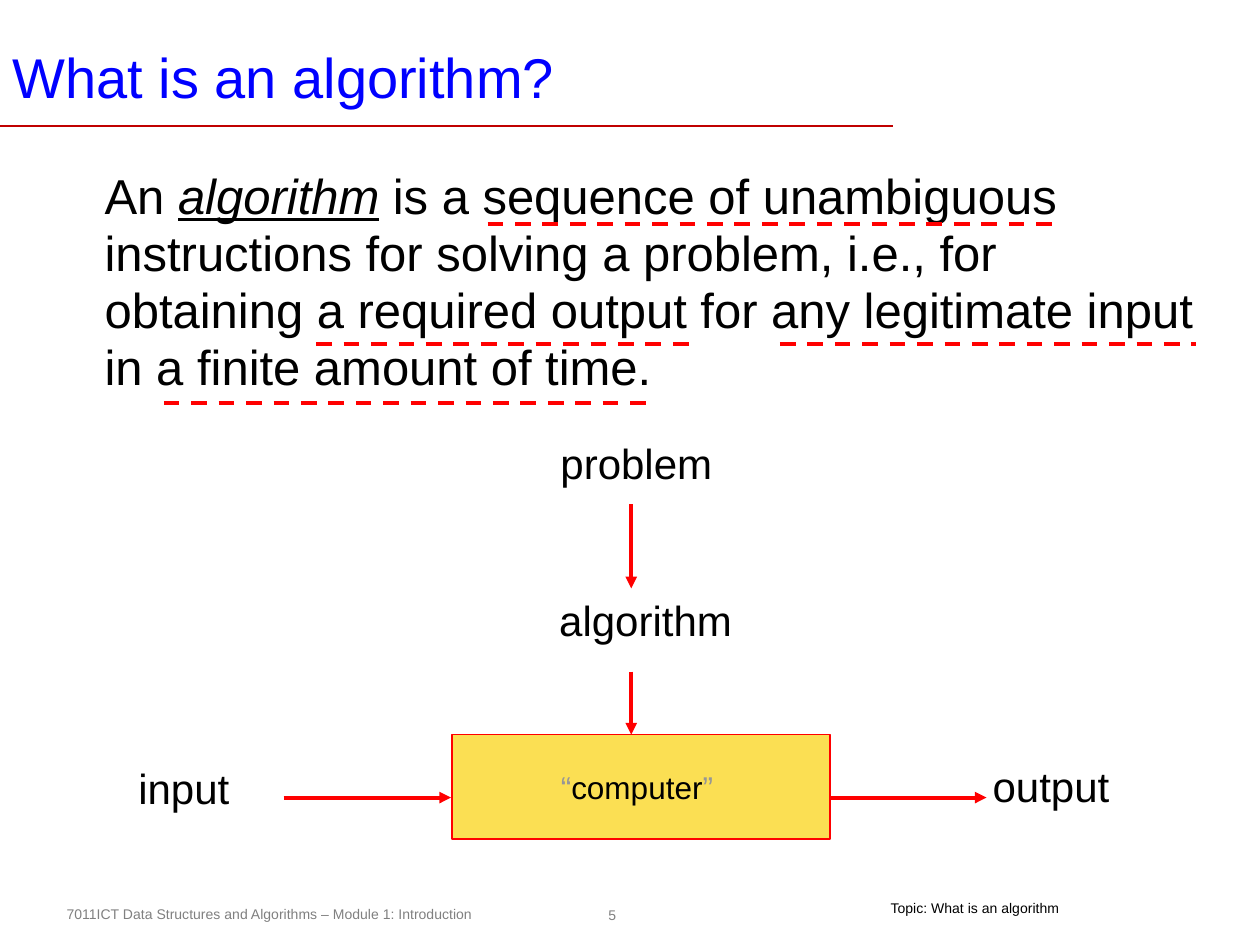
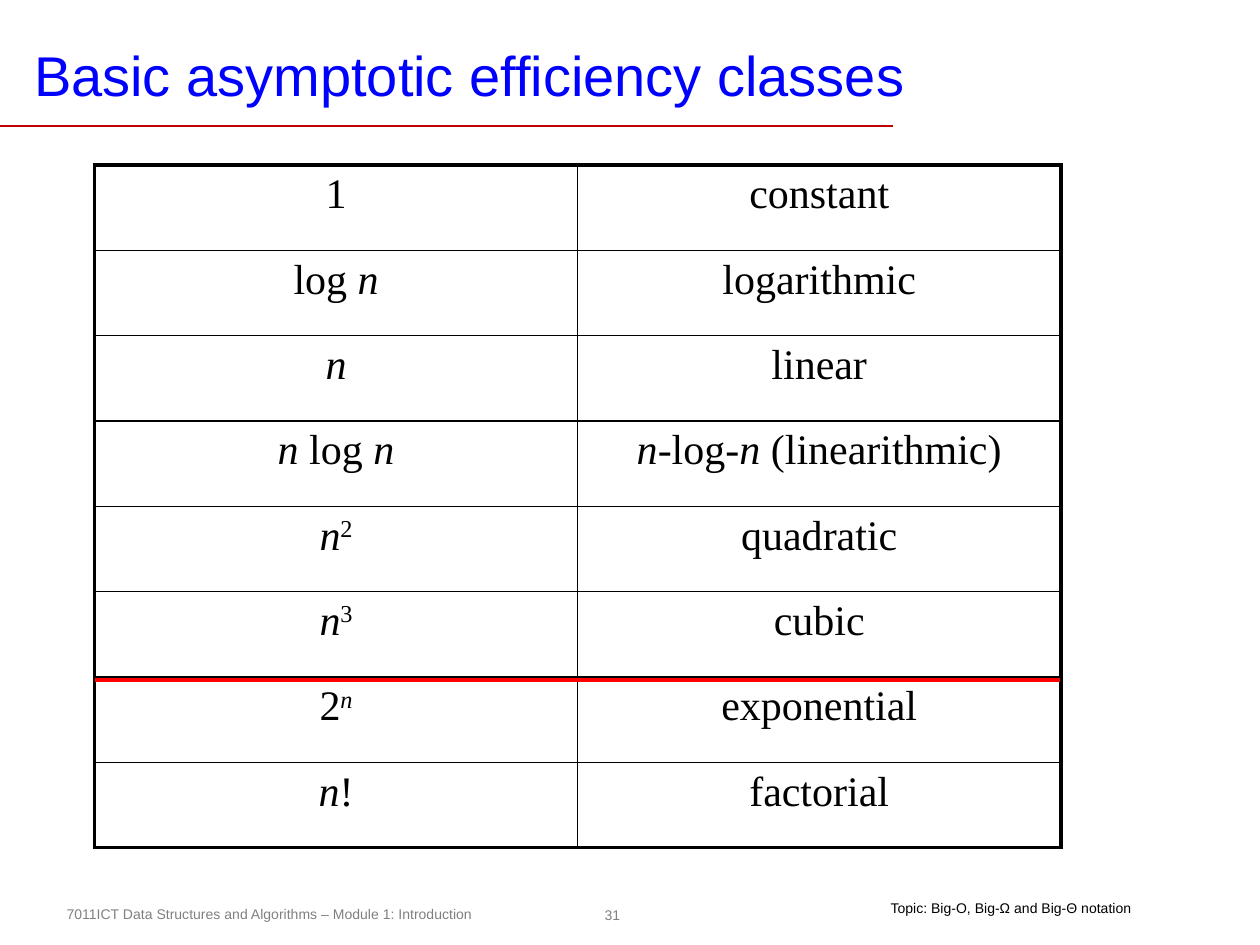
from lxml import etree
from pptx import Presentation
from pptx.dml.color import RGBColor
from pptx.enum.dml import MSO_LINE
from pptx.enum.shapes import MSO_CONNECTOR, MSO_SHAPE
from pptx.enum.text import MSO_ANCHOR, PP_ALIGN
from pptx.oxml.ns import qn
from pptx.util import Inches, Pt

STRAIGHT = MSO_CONNECTOR.STRAIGHT
RECTANGLE = MSO_SHAPE.RECTANGLE
DASH = MSO_LINE.DASH
MIDDLE = MSO_ANCHOR.MIDDLE
TOP = MSO_ANCHOR.TOP
LEFT = PP_ALIGN.LEFT
CENTER = PP_ALIGN.CENTER

BLACK = "000000"
RED = "FF0000"
TITLE_BLUE = "0000FF"
RULE_RED = "C00000"
FOOTER_GRAY = "808080"
QUOTE_GRAY = "969696"
BOX_YELLOW = "FBDF53"
SANS = "Arial"
SERIF = "Times New Roman"
COURSE = "7011ICT Data Structures and Algorithms – Module 1: Introduction"

EFFICIENCY_CLASSES = [
    ([("1", "")], [("constant", "")]),
    ([("log ", ""), ("n", "i")], [("logarithmic", "")]),
    ([("n", "i")], [("linear", "")]),
    ([("n ", "i"), ("log ", ""), ("n", "i")],
     [("n-", "i"), ("log", ""), ("-n ", "i"), ("(linearithmic)", "")]),
    ([("n", "i"), ("2", "^")], [("quadratic", "")]),
    ([("n", "i"), ("3", "^")], [("cubic", "")]),
    ([("2", ""), ("n", "i^")], [("exponential", "")]),
    ([("n", "i"), ("!", "")], [("factorial", "")]),
]


def rgb(color):
    return RGBColor.from_string(color)


def add_run(paragraph, text, size, color=BLACK, font=SANS, style=""):
    run = paragraph.add_run()
    run.text = text
    run.font.name = font
    run.font.size = Pt(size)
    run.font.color.rgb = rgb(color)
    run.font.italic = "i" in style
    run.font.underline = "u" in style
    if "^" in style:
        run.font._element.set("baseline", "30000")


def set_frame(frame, insets=(0.1, 0.05, 0.1, 0.05), anchor=TOP, wrap=True):
    frame.margin_left, frame.margin_top, frame.margin_right, frame.margin_bottom = map(Inches, insets)
    frame.vertical_anchor = anchor
    frame.word_wrap = wrap


def add_text(slide, position, text, size, color=BLACK, align=LEFT, **frame_options):
    box = slide.shapes.add_textbox(*map(Inches, position))
    set_frame(box.text_frame, **frame_options)
    paragraph = box.text_frame.paragraphs[0]
    paragraph.alignment = align
    if text:
        add_run(paragraph, text, size, color)
    return paragraph


def add_line(slide, start, end, color=RED, width=2.25, dash=None, arrow=False):
    line = slide.shapes.add_connector(STRAIGHT, *map(Inches, start + end))
    line.line.color.rgb = rgb(color)
    line.line.width = Pt(width)
    if dash:
        line.line.dash_style = dash
    properties = line._element.spPr
    if arrow:
        etree.SubElement(properties.find(qn("a:ln")), qn("a:tailEnd"), type="triangle")
    etree.SubElement(properties, qn("a:effectLst"))


def add_base_slide(presentation, title, title_position, title_insets, number, topic):
    slide = presentation.slides.add_slide(presentation.slide_layouts[5])
    placeholder = slide.shapes.title
    placeholder.left, placeholder.top, placeholder.width, placeholder.height = map(Inches, title_position)
    set_frame(placeholder.text_frame, title_insets)
    paragraph = placeholder.text_frame.paragraphs[0]
    paragraph.alignment = LEFT
    add_run(paragraph, title, 32, TITLE_BLUE)
    add_text(slide, (4.74, 7.13, 0.24, 0.26), number, 8, FOOTER_GRAY, CENTER,
             insets=(0.04,) * 4, anchor=MIDDLE, wrap=False)
    add_text(slide, (0.43, 7.14, 4.17, 0.24), COURSE, 8, FOOTER_GRAY)
    add_text(slide, (6.97, 7.14, 2.5, 0.17), topic, 8, insets=(0.1, 0, 0.1, 0.04))
    add_line(slide, (0, 1), (7.09, 1), RULE_RED, 1)
    return slide


def add_definition(slide):
    paragraph = add_text(slide, (0.43, 1.29, 9.25, 2), "", 28, insets=(0.4, 0.05, 0.1, 0.05))
    paragraph.line_spacing = 0.97
    add_run(paragraph, "An ", 28)
    add_run(paragraph, "algorithm", 28, style="iu")
    add_run(paragraph, " is a sequence of unambiguous instructions for solving a problem, "
            "i.e., for obtaining a required output for any legitimate input "
            "in a finite amount of time.", 28)
    for left, right, y in [(3.87, 8.39, 1.78), (2.51, 5.47, 2.73),
                           (6.19, 9.49, 2.73), (1.3, 5.16, 3.2)]:
        add_line(slide, (left, y), (right, y), dash=DASH)


def add_computer(slide):
    box = slide.shapes.add_shape(RECTANGLE, *map(Inches, (3.59, 5.83, 3, 0.83)))
    box.shadow.inherit = False
    box.fill.solid()
    box.fill.fore_color.rgb = rgb(BOX_YELLOW)
    box.line.color.rgb = rgb(RED)
    box.line.width = Pt(1)
    set_frame(box.text_frame, anchor=MIDDLE, wrap=False)
    paragraph = box.text_frame.paragraphs[0]
    paragraph.alignment = CENTER
    for text, color in [("“", QUOTE_GRAY), ("computer", BLACK), ("” ", QUOTE_GRAY)]:
        add_run(paragraph, text, 18, color)


def add_algorithm_flow(slide):
    add_computer(slide)
    for label, left, top in [("problem", 4.35, 3.42), ("algorithm", 4.34, 4.67),
                             ("input", 1, 6), ("output", 7.78, 5.99)]:
        add_text(slide, (left, top, 1.7, 0.5), label, 24)
    for start, end in [((5.01, 4), (5.01, 4.67)), ((5.01, 5.33), (5.01, 5.83)),
                       ((2.25, 6.33), (3.58, 6.33)), ((6.58, 6.33), (7.83, 6.33))]:
        add_line(slide, start, end, arrow=True)


def set_border(cell, side, width):
    border = etree.SubElement(cell._tc.get_or_add_tcPr(), qn(f"a:ln{side}"), w=str(Pt(width)))
    fill = etree.SubElement(border, qn("a:solidFill"))
    etree.SubElement(fill, qn("a:srgbClr"), val=BLACK)


def add_class_table(slide, left, top, width, height):
    row_count, column_count = len(EFFICIENCY_CLASSES), 2
    table = slide.shapes.add_table(row_count, column_count,
                                   *map(Inches, (left, top, width, height))).table
    table.first_row = False
    table.horz_banding = False
    for row, labels in enumerate(EFFICIENCY_CLASSES):
        for column, runs in enumerate(labels):
            cell = table.cell(row, column)
            outer_sides = {"L": column == 0, "R": column == column_count - 1,
                           "T": row == 0, "B": row == row_count - 1}
            for side, outer in outer_sides.items():
                set_border(cell, side, 2.25 if outer else 1)
            cell.fill.background()
            paragraph = cell.text_frame.paragraphs[0]
            paragraph.alignment = CENTER
            for text, style in runs:
                add_run(paragraph, text, 24, font=SERIF, style=style)


def main():
    presentation = Presentation()
    presentation.slide_width = Inches(10)
    presentation.slide_height = Inches(7.5)

    definition_slide = add_base_slide(
        presentation, "What is an algorithm?", (0, 0.29, 9, 0.67),
        (0.1, 0.05, 0.1, 0.05), "5", "Topic: What is an algorithm")
    add_definition(definition_slide)
    add_algorithm_flow(definition_slide)

    classes_slide = add_base_slide(
        presentation, "Basic asymptotic efficiency classes", (0.2, 0.29, 9, 0.69),
        (0.07, 0.03, 0.07, 0.03), "31", "Topic: Big-O, Big-Ω and Big-Θ notation")
    add_class_table(classes_slide, 0.75, 1.31, 7.67, 5.42)
    add_line(classes_slide, (0.75, 5.4), (8.41, 5.4))

    presentation.save("out.pptx")


if __name__ == "__main__":
    main()
